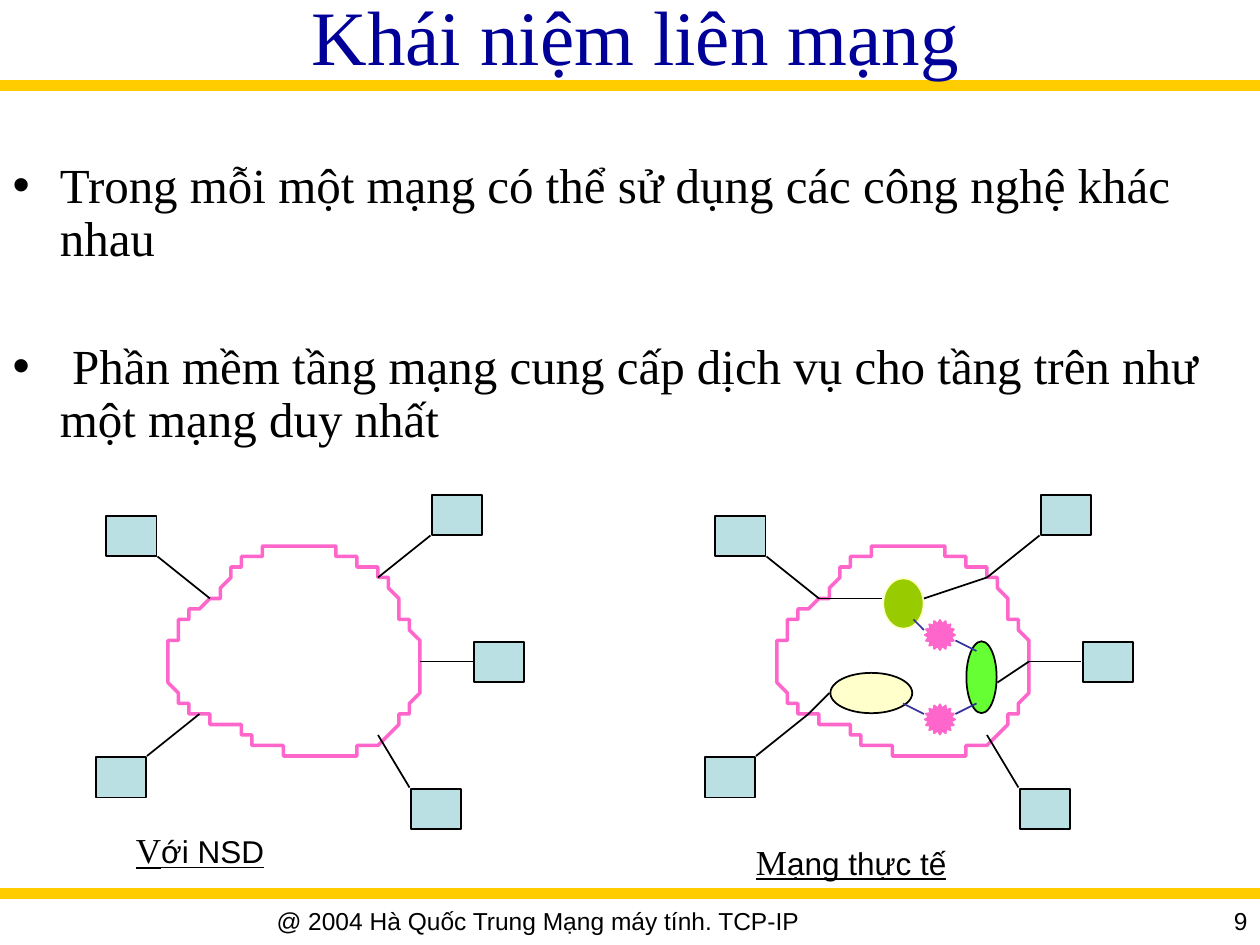
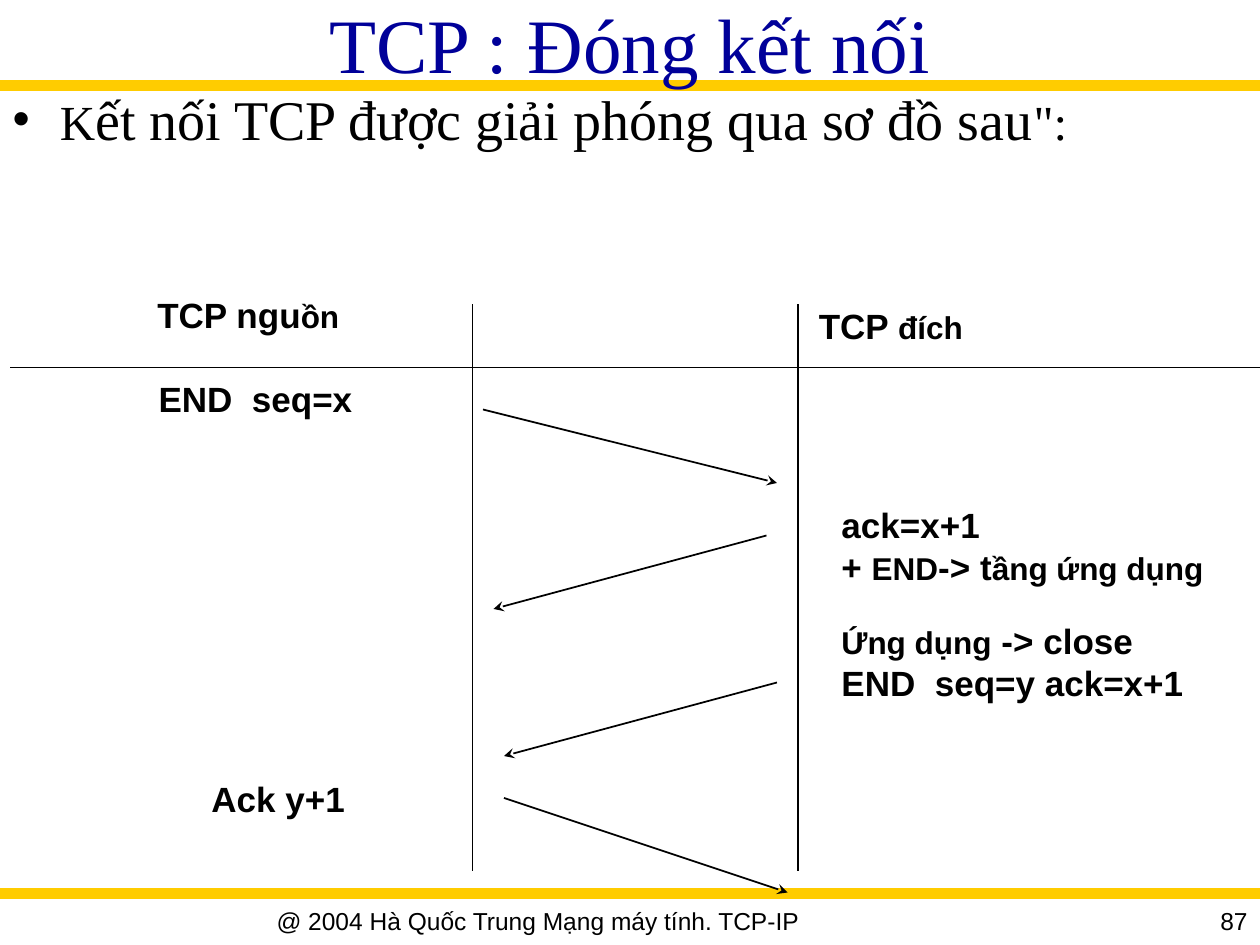
from math import cos, sin, pi
from lxml import etree
from pptx import Presentation
from pptx.dml.color import RGBColor
from pptx.enum.shapes import MSO_CONNECTOR as Link, MSO_SHAPE as Shape
from pptx.enum.text import MSO_ANCHOR as Anchor, MSO_AUTO_SIZE as Fit, PP_ALIGN as Align
from pptx.oxml.ns import qn
from pptx.util import Inches, Pt

# Shared look
SERIF, SANS = "Times New Roman", "Arial"
BLACK, NAVY, GOLD, PINK = "000000", "000099", "FFCC00", "FF66CC"
INDIGO, CREAM, AQUA = "333399", "FFFFCC", "BBE0E3"
WIDE, HIGH = 10, 7.5
BANDS = [0.68, 7.09]
FOOTER = "@ 2004 Hà Quốc Trung Mạng máy tính. TCP-IP"
UNIT = 1 / 12  # grid step of both diagrams, in inches

# Content: runs are (text, size) or (text, size, font)
NET = {
    "title": "Khái niệm liên mạng", "title_at": (0.25, 0, 9.59, 0.55),
    "body_at": (0, 1.23, 9.83, 2.85), "number": "9",
    "body": [
        [("Trong mỗi một mạng có thể sử dụng các công nghệ khác nhau", 28)],
        [(" Phần mềm tầng mạng cung cấp dịch vụ cho tầng trên như một mạng duy nhất", 28)],
    ],
    "gap": 43, "style": {"underline": True},
    "labels": [
        ((0.98, 6.53, 1.22, 0.43), [[("V", 20, SERIF), ("ới NSD", 18)]]),
        ((5.9, 6.62, 1.72, 0.43), [[("M", 20, SERIF), ("ạng thực tế", 18)]]),
    ],
}
CLOSE = {
    "title": "TCP : Đóng kết nối", "title_at": (0, 0, WIDE, 0.68),
    "body_at": (0, 0.68, WIDE, 0.86), "number": "87",
    "body": [[("K", 28), ("ết nối TCP được giải phóng qua sơ đồ sau", 32), ("\":", 28)]],
    "gap": 7, "style": {"bold": True},
    "labels": [
        ((1.15, 2.28, 1.65, 0.43), [[("TCP ngu", 20), ("ồn", 18)]]),
        ((6.4, 2.37, 1.35, 0.43), [[("TCP ", 20), ("đích", 18)]]),
        ((1.16, 2.95, 1.82, 0.43), [[("END  seq=x", 20)]]),
        ((6.58, 3.95, 3.08, 0.77), [
            [("ack=x+1", 20)],
            [("+ ", 20), ("END", 18), ("-> t", 20), ("ầng ứng dụng", 18)]]),
        ((6.58, 4.87, 3, 0.77), [
            [("Ứng dụng", 18), (" -> close", 20)],
            [("END  seq=y ack=x+1", 20)]]),
        ((1.58, 6.12, 1.34, 0.43), [[("Ack y+1", 20)]]),
    ],
}

# Network diagrams, in grid steps
SHIFTS = [0, 58]
CLOUD_AT = (16, 52)
# Quarter arcs: centre x, centre y, radius x, radius y, first quadrant
ARCS = [(5, 12, 5, 7, 2), (12, 5, 7, 5, 2), (12, 2, 6, 2, 3), (18, 7, 4, 5, 3),
        (22, 12, 2, 5, 3), (15, 12, 9, 8, 0), (15, 17, 8, 3, 1), (7, 12, 7, 5, 1)]
HOSTS = [(41, 47), (45, 61), (10, 49), (9, 72), (39, 75)]
HOST_SIZE = (0.4, 0.32)
WIRES = [(15, 53, 20, 57), (14, 72, 19, 68), (39, 75, 36, 70),
         (45, 63, 40, 63), (41, 51, 36, 55)]
NODES = [  # place in inches, fill, outline
    (Shape.OVAL, (6.59, 5.34, 0.65, 0.32), CREAM, BLACK),
    (Shape.OVAL, (7.67, 5.09, 0.24, 0.57), "66FF33", BLACK),
    (Shape.OVAL, (7.01, 4.59, 0.32, 0.4), "99CC00", CREAM),
    (Shape.STAR_16_POINT, (7.34, 5.59, 0.24, 0.24), PINK, PINK),
    (Shape.STAR_16_POINT, (7.34, 4.92, 0.24, 0.24), PINK, PINK),
]
PATHS = {
    INDIGO: [(91, 61, 93, 62), (87, 59, 88, 60), (86, 67, 88, 68), (91, 68, 93, 67)],
    BLACK: [(95, 65, 98, 63), (88, 57, 94, 55), (78, 57, 84, 57), (77, 68, 79, 66)],
}

# Sequence chart, in grid steps
AXES = [(1, 35, 120, 35), (45, 29, 45, 83), (76, 29, 76, 83)]
ARROWS = [(46, 39, 74, 46), (73, 51, 47, 58), (74, 65, 48, 72), (48, 76, 75, 85)]


def color(code):
    return RGBColor.from_string(code)


def inches(nums):
    return [Inches(n) for n in nums]


def paint(shape, fill, edge, width=1):
    shape.shadow.inherit = False
    if fill:
        shape.fill.solid()
        shape.fill.fore_color.rgb = color(fill)
    else:
        shape.fill.background()
    shape.line.color.rgb = color(edge)
    shape.line.width = Pt(width)


def line(slide, ends, code=BLACK, width=1, arrow=False, step=UNIT):
    wire = slide.shapes.add_connector(Link.STRAIGHT, *inches(n * step for n in ends))
    wire.line.color.rgb = color(code)
    wire.line.width = Pt(width)
    props = wire.element.spPr
    if arrow:
        etree.SubElement(props.find(qn("a:ln")), qn("a:tailEnd"), type="stealth")
    etree.SubElement(props, qn("a:effectLst"))
    return wire


def write(frame, paras, face=SANS, code=BLACK, style=None, para=None, gap=0):
    """Fill a text frame with paragraphs made of runs."""
    for i, runs in enumerate(paras):
        p = frame.paragraphs[0] if i == 0 else frame.add_paragraph()
        for key, val in (para or {}).items():
            setattr(p, key, val)
        p.space_before = Pt(gap if i else 0)
        for text, size, *font in runs:
            run = p.add_run()
            run.text = text
            form = {"size": Pt(size), "name": font[0] if font else face, **(style or {})}
            for key, val in form.items():
                setattr(run.font, key, val)
            run.font.color.rgb = color(code)


def label(slide, at, paras, wrap=False, **form):
    frame = slide.shapes.add_textbox(*inches(at)).text_frame
    frame.word_wrap = wrap
    frame.auto_size = Fit.NONE if wrap else Fit.SHAPE_TO_FIT_TEXT
    write(frame, paras, **form)


def holder(shape, at, anchor, paras, **form):
    shape.left, shape.top, shape.width, shape.height = inches(at)
    frame = shape.text_frame
    frame.auto_size = Fit.NONE
    frame.vertical_anchor = anchor
    write(frame, paras, face=SERIF, **form)


def page(deck, data):
    """Add a slide with its title, list, labels and footer."""
    slide = deck.slides.add_slide(deck.slide_layouts[1])
    title, body = slide.placeholders
    holder(title, data["title_at"], Anchor.MIDDLE, [[(data["title"], 44)]],
           code=NAVY, para={"alignment": Align.CENTER})
    holder(body, data["body_at"], Anchor.TOP, data["body"],
           para={"line_spacing": 0.9}, gap=data["gap"])
    for at, paras in data["labels"]:
        label(slide, at, paras, style=data["style"])
    label(slide, (0, 7.14, 8.54, 0.36), [[(FOOTER, 14)]], True,
          para={"alignment": Align.CENTER})
    label(slide, (8.58, 7.14, 1.42, 0.31), [[(data["number"], 14)]], True,
          para={"alignment": Align.RIGHT})
    return slide


def cloud(slide, shift):
    """Join quarter arcs into one closed outline."""
    left, top = CLOUD_AT
    dots = []
    for x, y, rx, ry, quad in ARCS:
        for i in range(17):
            turn = (quad + i / 16) * pi / 2
            dots.append((left + shift + x + rx * cos(turn), top + y + ry * sin(turn)))
    form = slide.shapes.build_freeform(*dots[0], scale=Inches(UNIT))
    form.add_line_segments(dots[1:], close=True)
    paint(form.convert_to_shape(), None, PINK, 2)


def node(slide, kind, at, fill, edge):
    paint(slide.shapes.add_shape(kind, *inches(at)), fill, edge)


def main():
    deck = Presentation()
    deck.slide_width, deck.slide_height = Inches(WIDE), Inches(HIGH)

    # Network slide
    net = page(deck, NET)
    for shift in SHIFTS:
        cloud(net, shift)
        for x, y in HOSTS:
            spot = ((x + shift) * UNIT + 0.01, y * UNIT + 0.01)
            node(net, Shape.RECTANGLE, spot + HOST_SIZE, AQUA, BLACK)
        for x1, y1, x2, y2 in WIRES:
            line(net, (x1 + shift, y1, x2 + shift, y2))
    for item in NODES:
        node(net, *item)
    for code, group in PATHS.items():
        for ends in group:
            line(net, ends, code)

    # Closing slide
    close = page(deck, CLOSE)
    for ends in AXES:
        line(close, ends)
    for ends in ARROWS:
        line(close, ends, arrow=True)

    # Gold bands, moved to the shared layout
    for y in BANDS:
        band = line(net, (0, y, WIDE, y), GOLD, 6, step=1)
        deck.slide_layouts[1].shapes.element.append(band.element)

    deck.save("out.pptx")


if __name__ == "__main__":
    main()
